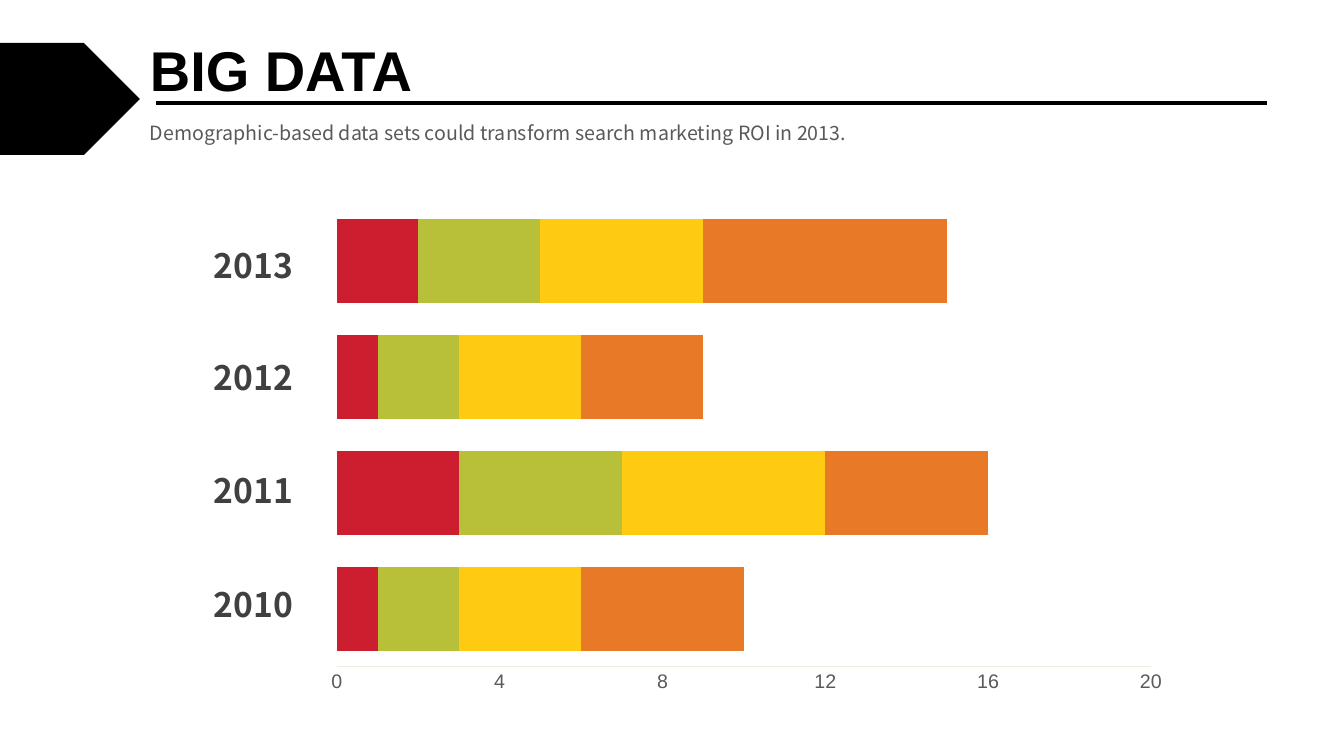
import lxml.etree
import pptx
import pptx.chart.data
import pptx.dml.color
import pptx.enum.chart
import pptx.enum.shapes
import pptx.enum.text
import pptx.oxml.ns
import pptx.oxml.xmlchemy
import pptx.util

EMU_PER_PX = 914400 / 100.8
SLIDE_SIZE = (1344, 756)

BODY_FONT = "Noto Sans CJK SC"
TITLE = ("BIG DATA", (140, 31, 301, 78),
         {"size": 40, "name": "Arial", "bold": True, "color": "000000"})
SUBTITLE = ("Demographic-based data sets could transform search marketing ROI in 2013.",
            (140, 116, 1096, 34),
            {"size": 14, "name": BODY_FONT, "bold": False, "color": "595959"})
YEAR_FORMAT = {"size": 24, "name": BODY_FONT, "bold": True, "color": "404040"}
YEARS = {"2013": 240, "2012": 352, "2011": 465, "2010": 579}
YEAR_LEFT, YEAR_WIDTH, YEAR_HEIGHT = 204, 111, 50

ARROW_BOX = (-2, 43, 142, 112)
RULE = (156, 103, 1267, 103)

CHART_BOX = (313, 192, 865, 512)
PLOT_BOX = (337, 203, 814, 464)
CATEGORIES = ["1", "2", "3", "4"]
SERIES = [
    ("Series 1", (1, 3, 1, 2), "CD1E2F"),
    ("Series 2", (2, 4, 2, 3), "B8C039"),
    ("Series 3", (3, 5, 3, 4), "FFCA12"),
    ("Series 4", (4, 4, 3, 6), "E87927"),
]
AXIS_FORMAT = {"size": 14, "name": "Arial", "bold": False, "color": "595959"}
AXIS_SCALE = {"minimum_scale": 0, "maximum_scale": 20, "major_unit": 4}


def px(*lengths):
    return [pptx.util.Emu(round(length * EMU_PER_PX)) for length in lengths]


def rgb(color):
    return pptx.dml.color.RGBColor.from_string(color)


def set_font(font, values):
    for key, value in values.items():
        if key == "color":
            font.color.rgb = rgb(value)
        else:
            setattr(font, key, pptx.util.Pt(value) if key == "size" else value)


def add_text(slide, text, box, values):
    shape = slide.shapes.add_textbox(*px(*box))
    frame = shape.text_frame
    frame.word_wrap = True
    frame.auto_size = pptx.enum.text.MSO_AUTO_SIZE.SHAPE_TO_FIT_TEXT
    paragraph = frame.paragraphs[0]
    run = paragraph.add_run()
    run.text = text
    set_font(run.font, values)
    return paragraph


def fix_plot_area(chart):
    """Pin the inner plot area to PLOT_BOX."""
    plot_area = chart._chartSpace.chart.plotArea
    for layout in plot_area.findall(pptx.oxml.ns.qn("c:layout")):
        plot_area.remove(layout)
    left, top, width, height = CHART_BOX
    fractions = {
        "x": (PLOT_BOX[0] - left) / width,
        "y": (PLOT_BOX[1] - top) / height,
        "w": PLOT_BOX[2] / width,
        "h": PLOT_BOX[3] / height,
    }
    settings = [("layoutTarget", "inner"), ("xMode", "edge"), ("yMode", "edge")]
    settings += fractions.items()
    layout = pptx.oxml.xmlchemy.OxmlElement("c:layout")
    manual = lxml.etree.SubElement(layout, pptx.oxml.ns.qn("c:manualLayout"))
    for name, value in settings:
        element = lxml.etree.SubElement(manual, pptx.oxml.ns.qn("c:" + name))
        element.set("val", str(value))
    plot_area.insert(0, layout)


def add_bar_chart(slide):
    data = pptx.chart.data.CategoryChartData()
    data.categories = CATEGORIES
    for name, values, _ in SERIES:
        data.add_series(name, values)
    chart = slide.shapes.add_chart(
        pptx.enum.chart.XL_CHART_TYPE.BAR_STACKED, *px(*CHART_BOX), data).chart
    chart.has_legend = False
    chart.has_title = False
    set_font(chart.font, {"size": 10, "name": "Arial", "color": "000000"})

    plot = chart.plots[0]
    plot.gap_width = 38
    plot.overlap = 100
    plot.vary_by_categories = False
    for series, (_, _, color) in zip(plot.series, SERIES):
        series.format.fill.solid()
        series.format.fill.fore_color.rgb = rgb(color)

    chart.category_axis.visible = False
    axis = chart.value_axis
    axis.has_major_gridlines = False
    axis.major_tick_mark = pptx.enum.chart.XL_TICK_MARK.NONE
    for key, value in AXIS_SCALE.items():
        setattr(axis, key, value)
    axis.format.line.color.rgb = rgb("EEECE1")
    axis.format.line.width = pptx.util.Pt(0.75)
    set_font(axis.tick_labels.font, AXIS_FORMAT)
    fix_plot_area(chart)


def add_header(slide):
    add_text(slide, *TITLE)
    subtitle = add_text(slide, *SUBTITLE)
    subtitle.alignment = pptx.enum.text.PP_ALIGN.JUSTIFY

    arrow = slide.shapes.add_shape(
        pptx.enum.shapes.MSO_SHAPE.PENTAGON, *px(*ARROW_BOX))
    arrow.shadow.inherit = False
    arrow.fill.solid()
    arrow.fill.fore_color.rgb = rgb("000000")
    arrow.line.fill.background()

    rule = slide.shapes.add_connector(
        pptx.enum.shapes.MSO_CONNECTOR.STRAIGHT, *px(*RULE))
    rule.line.color.rgb = rgb("000000")
    rule.line.width = pptx.util.Pt(3)
    lxml.etree.SubElement(rule._element.spPr, pptx.oxml.ns.qn("a:effectLst"))


def main():
    presentation = pptx.Presentation()
    presentation.slide_width, presentation.slide_height = px(*SLIDE_SIZE)
    slide = presentation.slides.add_slide(presentation.slide_layouts[6])
    add_bar_chart(slide)
    for year, top in YEARS.items():
        add_text(slide, year, (YEAR_LEFT, top, YEAR_WIDTH, YEAR_HEIGHT), YEAR_FORMAT)
    add_header(slide)
    presentation.save("out.pptx")


if __name__ == "__main__":
    main()
